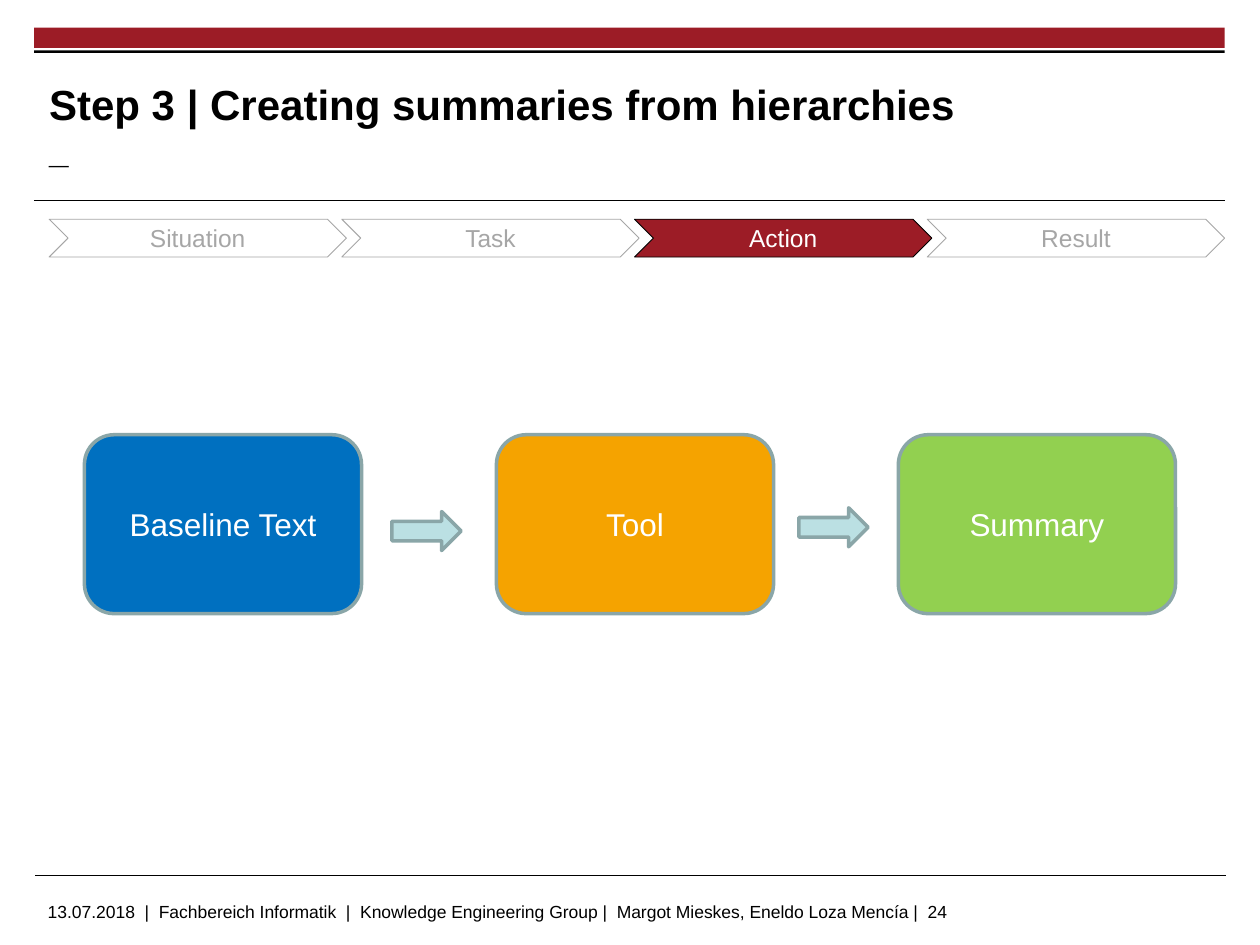
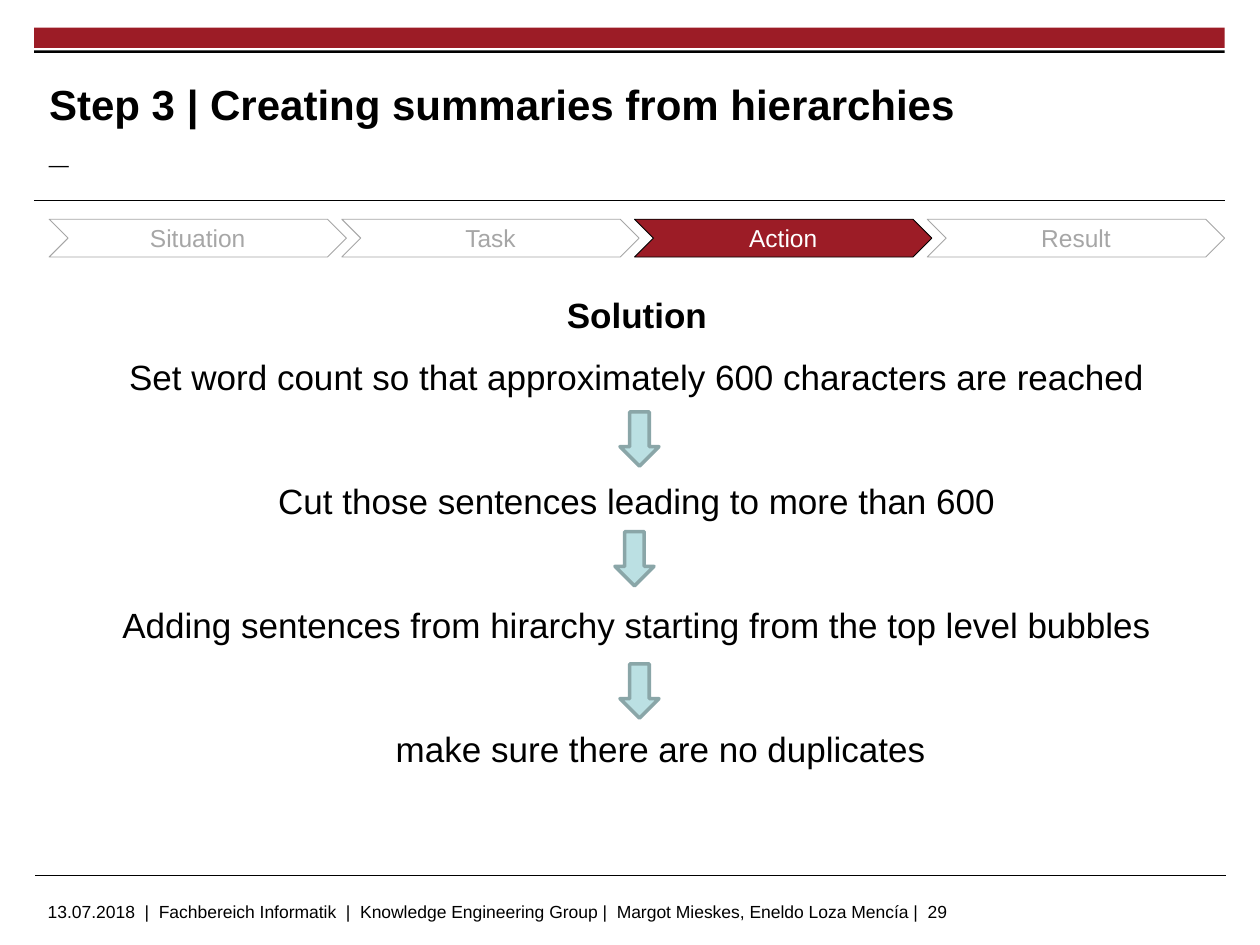
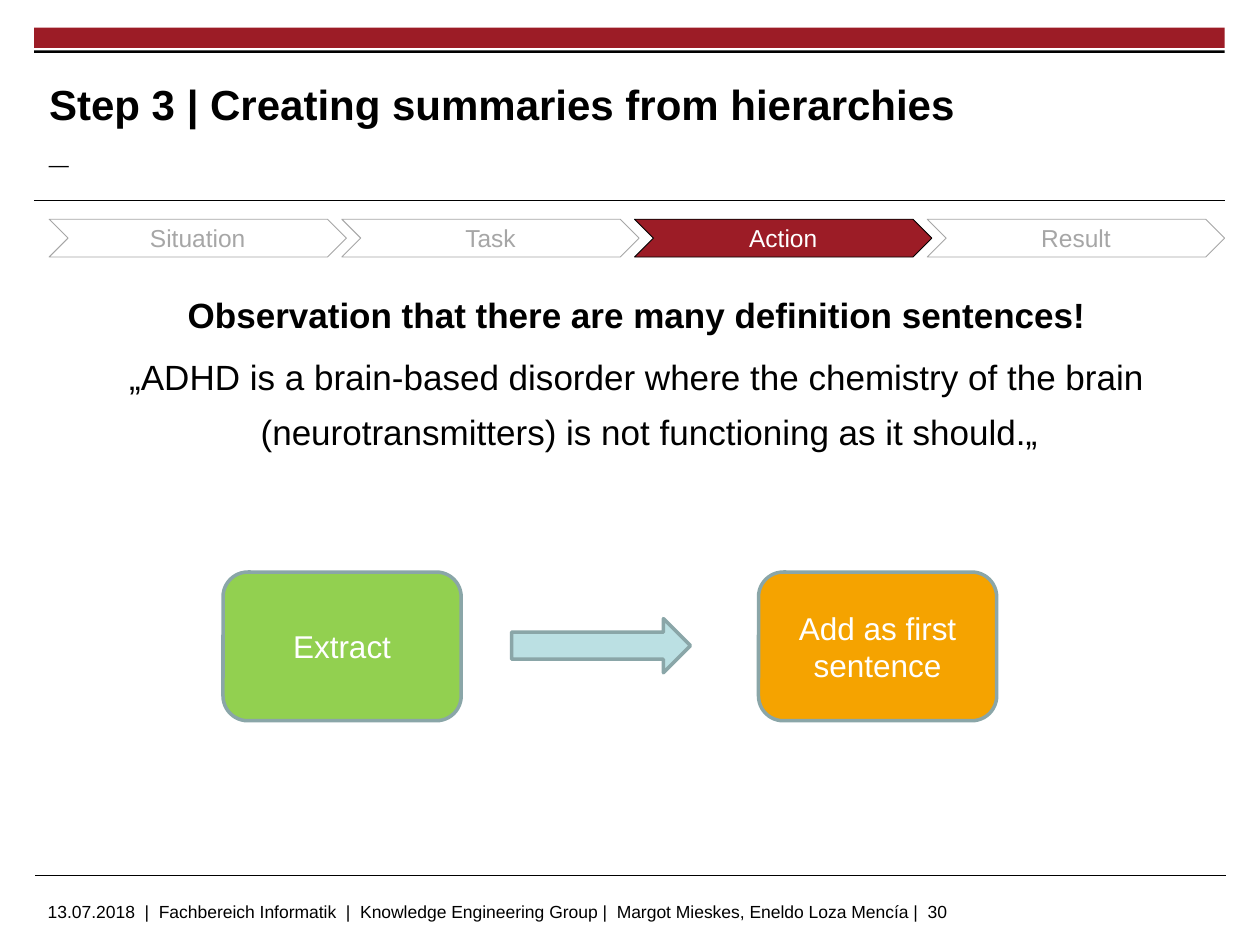
from pptx import Presentation
from pptx.dml.color import RGBColor
from pptx.enum.shapes import MSO_CONNECTOR, MSO_SHAPE
from pptx.enum.text import MSO_ANCHOR, PP_ALIGN
from pptx.oxml.ns import qn
from pptx.util import Inches, Pt
from lxml import etree

BLACK = RGBColor(0x00, 0x00, 0x00)
WHITE = RGBColor(0xFF, 0xFF, 0xFF)
CRIMSON = RGBColor(0x9C, 0x1C, 0x26)
GREY = RGBColor(0xA6, 0xA6, 0xA6)
BLUE = RGBColor(0x00, 0x70, 0xC0)
ORANGE = RGBColor(0xF5, 0xA3, 0x00)
GREEN = RGBColor(0x92, 0xD0, 0x50)
PALE_TEAL = RGBColor(0xBB, 0xE0, 0xE3)
TEAL_GREY = RGBColor(0x8A, 0xA6, 0xA8)

FONT = "Arial"
TITLE = "Step 3 | Creating summaries from hierarchies"
FOOTER = ("13.07.2018  |  Fachbereich Informatik  |  Knowledge Engineering Group |  "
          "Margot Mieskes, Eneldo Loza Mencía |  {}")
STAGES = ["Situation", "Task", "Action", "Result"]
ACTIVE_STAGE = "Action"

HEADER_BOX = (0.27, 0.22, 9.45, 1.37)
STAGE_BOX = (0.39, 1.74, 9.33, 0.3)
BODY_BOX = (0.39, 2.18, 9.33, 4.49)
FOOTER_BOX = (0.28, 6.95, 9.45, 0.4)

BODY_SPACING = {"line_spacing": 1.3, "space_before": Pt(2), "space_after": Pt(2.3)}
STEP_SPACING = {**BODY_SPACING, "space_after": Pt(37.7)}
HANGING = (0.2, -0.2)


def set_attributes(target, values):
    for name, value in values.items():
        setattr(target, name, value)


def add_run(paragraph, text, size, color=BLACK, bold=False):
    run = paragraph.add_run()
    run.text = text
    set_attributes(run.font, {"name": FONT, "size": Pt(size), "bold": bold})
    run.font.color.rgb = color


def add_box(slide, kind, box, fill, line=None, line_width=2, text="", size=18, color=WHITE):
    """Preset shape; each line of the text becomes a centred paragraph."""
    shape = slide.shapes.add_shape(kind, *map(Inches, box))
    shape.shadow.inherit = False
    shape.fill.solid()
    shape.fill.fore_color.rgb = fill
    if line is None:
        shape.line.fill.background()
    else:
        shape.line.color.rgb = line
        shape.line.width = Pt(line_width)
    frame = shape.text_frame
    frame.vertical_anchor = MSO_ANCHOR.MIDDLE
    for index, words in enumerate(text.splitlines()):
        paragraph = frame.add_paragraph() if index else frame.paragraphs[0]
        paragraph.alignment = PP_ALIGN.CENTER
        add_run(paragraph, words, size, color)
    return shape


def add_arrow(slide, box, rotation=0):
    arrow = add_box(slide, MSO_SHAPE.RIGHT_ARROW, box, PALE_TEAL, TEAL_GREY)
    arrow.rotation = rotation


def add_rule(slide, left, top, width):
    rule = slide.shapes.add_connector(
        MSO_CONNECTOR.STRAIGHT, *map(Inches, (left, top, left + width, top)))
    rule.line.color.rgb = BLACK
    rule.line.width = Pt(0.6)
    properties = rule._element.find(qn("p:spPr"))
    etree.SubElement(properties, qn("a:effectLst"))


def add_text_frame(slide, box, **values):
    frame = slide.shapes.add_textbox(*map(Inches, box)).text_frame
    set_attributes(frame, {"word_wrap": True, **values})
    return frame


def add_header(slide, box):
    left, top, width, height = box
    add_box(slide, MSO_SHAPE.RECTANGLE, (left, top, width, 0.16), CRIMSON)
    add_rule(slide, left, top + height, width)
    add_box(slide, MSO_SHAPE.RECTANGLE, (left, top + 0.18, width, 0.02), BLACK)
    frame = add_text_frame(
        slide, (left + 0.12, top + 0.31, 7.26, 0.92), vertical_anchor=MSO_ANCHOR.MIDDLE,
        margin_left=0, margin_top=0, margin_right=0, margin_bottom=0)
    paragraph = frame.paragraphs[0]
    add_run(paragraph, TITLE, 24, bold=True)
    paragraph.add_line_break()
    add_run(paragraph, "_", 20, bold=True)


def add_footer(slide, box, number):
    left, top, width, height = box
    add_rule(slide, left, top, width)
    frame = add_text_frame(slide, (left, top + 0.15, 7.88, height - 0.15))
    add_run(frame.paragraphs[0], FOOTER.format(number), 10)


def add_stages(slide, box):
    left, top, width, height = box
    chevron_width = 2.36
    pitch = (width - chevron_width) / (len(STAGES) - 1)
    for index, stage in enumerate(STAGES):
        if stage == ACTIVE_STAGE:
            fill, line, color = CRIMSON, BLACK, WHITE
        else:
            fill, line, color = WHITE, GREY, GREY
        add_box(slide, MSO_SHAPE.CHEVRON, (left + index * pitch, top, chevron_width, height),
                fill, line, 0.5, stage, 14, color)


def add_body(slide, box, heading, paragraphs):
    """Bold heading, then paragraphs given as (text, (margin, indent), spacing)."""
    frame = add_text_frame(slide, box, margin_left=0, margin_right=0)
    rows = [(heading, HANGING, BODY_SPACING), *paragraphs]
    for index, (text, (margin, indent), spacing) in enumerate(rows):
        paragraph = frame.add_paragraph() if index else frame.paragraphs[0]
        set_attributes(paragraph, {"alignment": PP_ALIGN.CENTER, **spacing})
        properties = paragraph._p.get_or_add_pPr()
        properties.set("marL", str(Inches(margin)))
        properties.set("indent", str(Inches(indent)))
        add_run(paragraph, text, 20, bold=index == 0)


def add_framed_slide(presentation, number):
    slide = presentation.slides.add_slide(presentation.slide_layouts[6])
    add_header(slide, HEADER_BOX)
    add_footer(slide, FOOTER_BOX, number)
    add_stages(slide, STAGE_BOX)
    return slide


def add_flow(slide, box, node_width, nodes, arrows):
    """Nodes are (left, text, fill); arrows are boxes; both relative to the box."""
    left, top, _, height = box
    for offset, text, fill in nodes:
        add_box(slide, MSO_SHAPE.ROUNDED_RECTANGLE, (left + offset, top, node_width, height),
                fill, TEAL_GREY, text=text)
    for x, y, width, arrow_height in arrows:
        add_arrow(slide, (left + x, top + y, width, arrow_height))


def add_pipeline_slide(presentation):
    slide = add_framed_slide(presentation, 24)
    add_flow(slide, (0.67, 3.45, 8.66, 1.42), 2.2,
             [(0, "Baseline Text", BLUE), (3.27, "Tool", ORANGE), (6.46, "Summary", GREEN)],
             [(2.44, 0.61, 0.55, 0.31), (5.67, 0.58, 0.55, 0.31)])


def add_solution_slide(presentation):
    slide = add_framed_slide(presentation, 29)
    steps = [
        "Set word count so that approximately 600 characters are reached",
        "Cut those sentences leading to more than 600",
        "Adding sentences from hirarchy starting from the top level bubbles",
    ]
    add_body(slide, BODY_BOX, "Solution",
             [(step, (0, 0), STEP_SPACING) for step in steps]
             + [("make sure there are no duplicates", (0.38, 0), BODY_SPACING)])
    left, top = BODY_BOX[:2]
    for x, y in [(4.47, 1.15), (4.43, 2.1), (4.47, 3.15)]:
        add_arrow(slide, (left + x, top + y, 0.43, 0.31), rotation=90)


def add_definition_slide(presentation):
    slide = add_framed_slide(presentation, 30)
    quote = ("„ADHD is a brain-based disorder where the chemistry of the brain "
             "(neurotransmitters) is not functioning as it should.„")
    add_body(slide, BODY_BOX, "Observation that there are many definition sentences!",
             [(quote, HANGING, BODY_SPACING)])
    add_flow(slide, (1.77, 4.54, 6.14, 1.18), 1.89,
             [(0, "Extract", GREEN), (4.25, "Add as first\nsentence", ORANGE)],
             [(2.29, 0.37, 1.42, 0.43)])


def main():
    presentation = Presentation()
    presentation.slide_width = Inches(10)
    presentation.slide_height = Inches(7.5)
    add_pipeline_slide(presentation)
    add_solution_slide(presentation)
    add_definition_slide(presentation)
    presentation.save("out.pptx")


if __name__ == "__main__":
    main()
